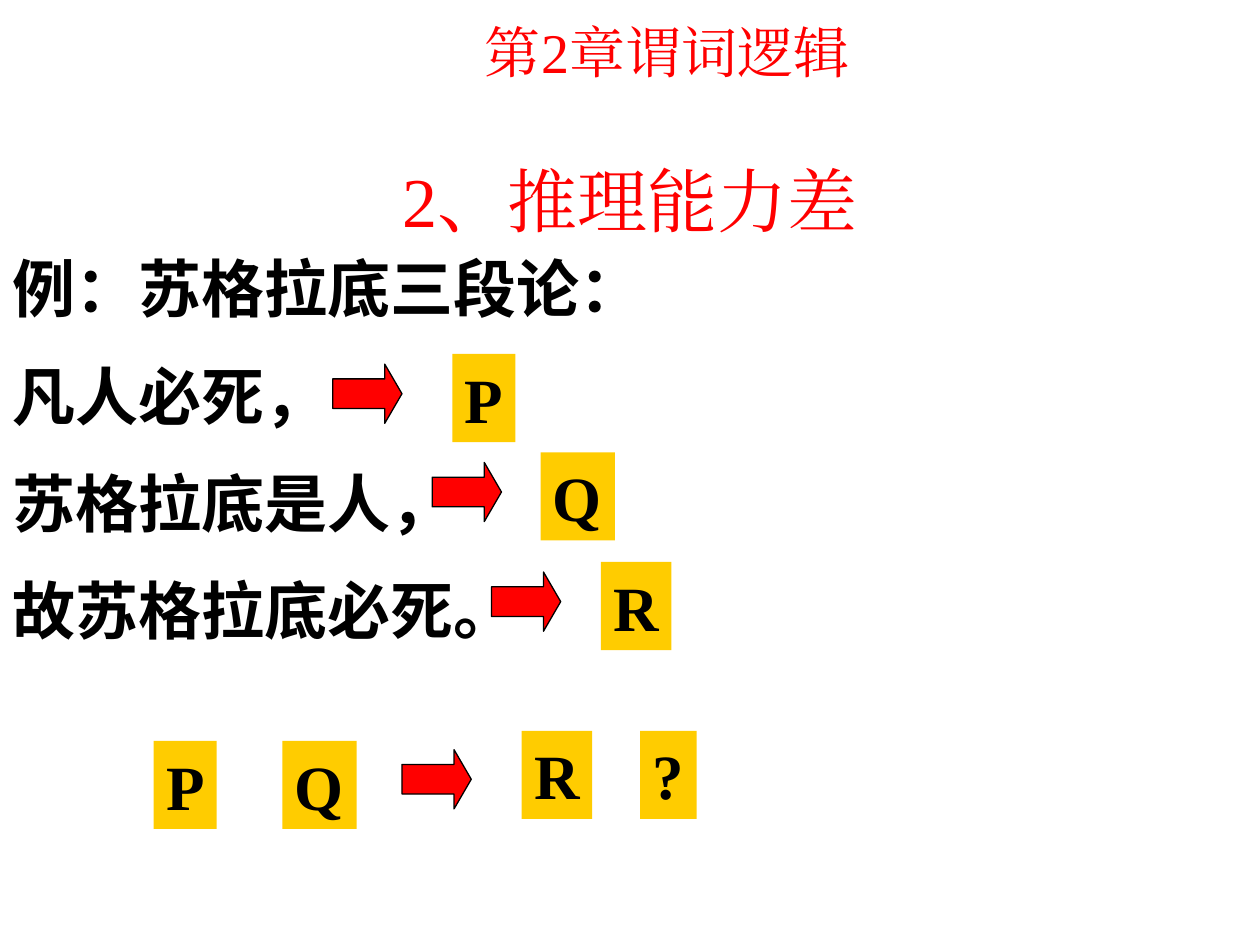
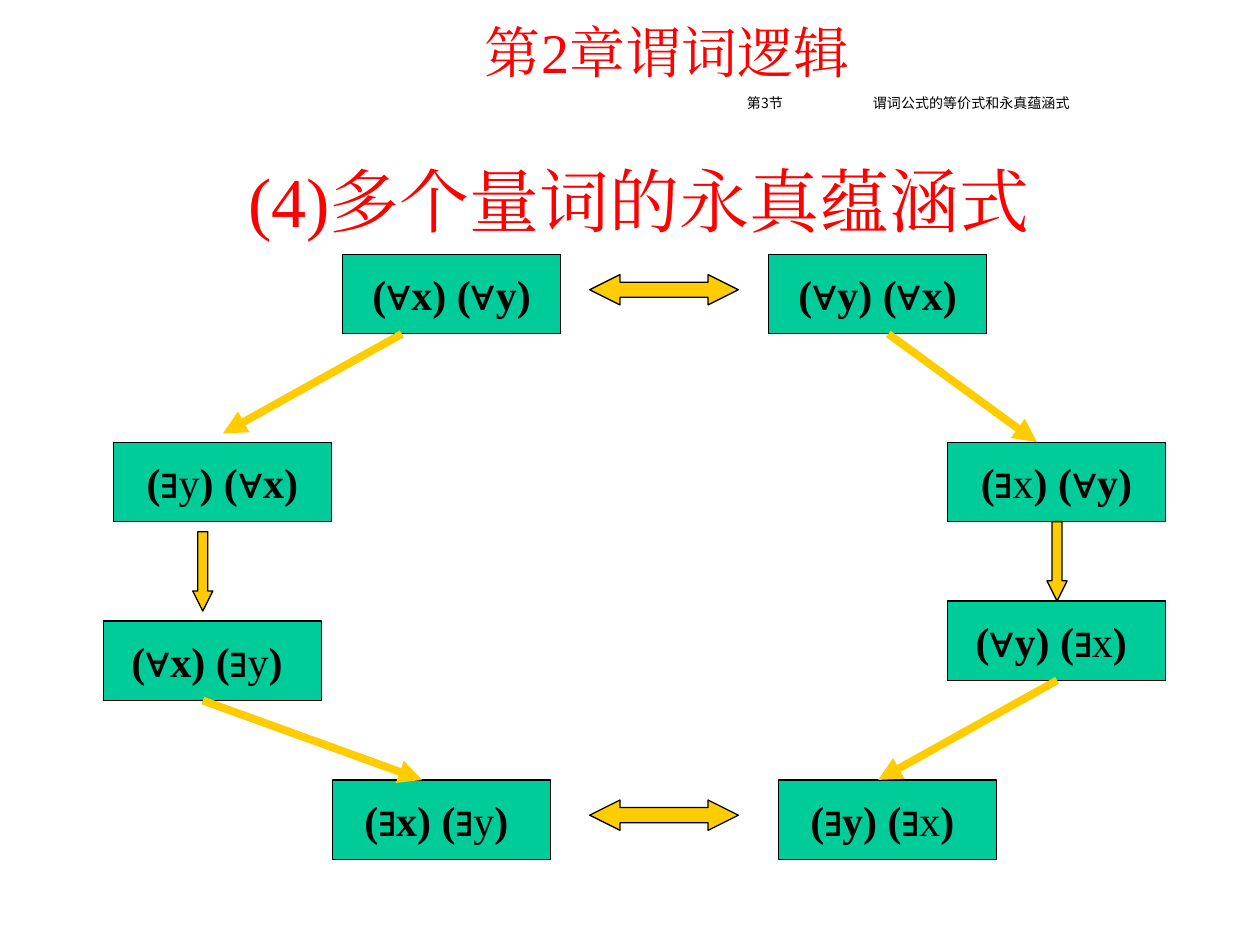
from itertools import groupby

from lxml import etree
from pptx import Presentation
from pptx.dml.color import RGBColor
from pptx.enum.shapes import MSO_CONNECTOR, MSO_SHAPE as Shape
from pptx.enum.text import MSO_ANCHOR as Anchor, MSO_AUTO_SIZE, PP_ALIGN as Align
from pptx.oxml.ns import qn
from pptx.util import Inches, Pt

COLORS = {"red": "FF0000", "black": "000000", "gold": "FFCC00", "green": "00CC99"}
SERIF, SYMBOL = "Times New Roman", "Arial"
BODY_FONT, SECTION_FONT = "Noto Sans CJK JP", "Noto Sans CJK SC"
CHAPTER = "第2章谓词逻辑"


def rgb(name):
    return RGBColor.from_string(COLORS[name])


class Deck:
    def __init__(self):
        self.prs = Presentation()
        self.prs.slide_width, self.prs.slide_height = Inches(10), Inches(7.5)
        self.slide = None

    def style(self, paragraph, size, color="black", font=SERIF, bold=False, align=Align.LEFT):
        paragraph.alignment = align
        face = paragraph.font
        face.size, face.bold, face.name = Pt(size), bold, font
        face.color.rgb = rgb(color)
        etree.SubElement(paragraph._p.pPr.find(qn("a:defRPr")), qn("a:ea"), typeface=font)

    def new_slide(self, title):
        self.slide = self.prs.slides.add_slide(self.prs.slide_layouts[5])
        heading = self.slide.shapes.title
        heading.left, heading.top = Inches(0.75), Inches(1.17)
        heading.width, heading.height = Inches(8.5), Inches(0.83)
        frame = heading.text_frame
        frame.text = title
        frame.auto_size = MSO_AUTO_SIZE.NONE
        frame.vertical_anchor = Anchor.MIDDLE
        self.style(frame.paragraphs[0], 40, "red", align=Align.CENTER)
        self.text(3.17, 0.09, 4.25, 0.64, [CHAPTER], size=32, color="red", align=Align.CENTER)

    def text(self, left, top, width, height, lines, anchor=Anchor.TOP,
             spacing=1.0, gap=0, tab=None, **look):
        box = self.slide.shapes.add_textbox(Inches(left), Inches(top), Inches(width), Inches(height))
        frame = box.text_frame
        frame.word_wrap = True
        frame.vertical_anchor = anchor
        for i, line in enumerate(lines):
            paragraph = frame.paragraphs[0] if i == 0 else frame.add_paragraph()
            paragraph.text = line
            paragraph.line_spacing = spacing
            if i:
                paragraph.space_before = Pt(gap)
            if tab:
                stops = etree.SubElement(paragraph._p.get_or_add_pPr(), qn("a:tabLst"))
                etree.SubElement(stops, qn("a:tab"), pos=str(Inches(tab)), algn="l")
            self.style(paragraph, **look)

    def shape(self, kind, left, top, width, height, fill, outlined=True, adjust=()):
        figure = self.slide.shapes.add_shape(
            kind, Inches(left), Inches(top), Inches(width), Inches(height))
        figure.shadow.inherit = False
        figure.fill.solid()
        figure.fill.fore_color.rgb = rgb(fill)
        if outlined:
            figure.line.color.rgb = rgb("black")
            figure.line.width = Pt(0.75)
        else:
            figure.line.fill.background()
        for i, value in enumerate(adjust):
            figure.adjustments[i] = value
        return figure

    def letter(self, symbol, left, top):
        width = {"P": 0.5, "Q": 0.59, "R": 0.56, "?": 0.45}[symbol]
        frame = self.shape(Shape.RECTANGLE, left, top, width, 0.7, "gold", outlined=False).text_frame
        frame.word_wrap = False
        frame.vertical_anchor = Anchor.TOP
        frame.text = symbol
        self.style(frame.paragraphs[0], 36, bold=True)

    def red_arrow(self, left, top):
        self.shape(Shape.RIGHT_ARROW, left, top, 0.55, 0.47, "red", adjust=(0.5, 0.29))

    def formula(self, content, left, top):
        frame = self.shape(Shape.RECTANGLE, left, top, 1.73, 0.63, "green").text_frame
        frame.word_wrap = False
        frame.vertical_anchor = Anchor.MIDDLE
        paragraph = frame.paragraphs[0]
        self.style(paragraph, 24, bold=True, align=Align.CENTER)
        last_exists = content.rfind("∃")

        def role(item):
            position, char = item
            if char in "∀∃":
                return "quantifier"
            return "light" if last_exists >= 0 and position == last_exists + 1 else "bold"

        for kind, items in groupby(enumerate(content), role):
            run = paragraph.add_run()
            run.text = "".join(char for _, char in items)
            if kind == "quantifier":
                run.font.name = SYMBOL
            elif kind == "light":
                run.font.bold = False

    def implication(self, x1, y1, x2, y2):
        link = self.slide.shapes.add_connector(
            MSO_CONNECTOR.STRAIGHT, Inches(x1), Inches(y1), Inches(x2), Inches(y2))
        link.line.color.rgb = rgb("gold")
        link.line.width = Pt(4.5)
        etree.SubElement(link.line._get_or_add_ln(), qn("a:tailEnd"), type="triangle")
        etree.SubElement(link._element.spPr, qn("a:effectLst"))


def syllogism(deck):
    deck.new_slide("2、推理能力差")
    deck.text(0, 2, 10, 3.4,
              ["例：苏格拉底三段论：", "凡人必死，", "苏格拉底是人，", "故苏格拉底必死。"],
              spacing=0.9, gap=22.5, size=36, font=BODY_FONT, bold=True)
    for symbol, arrow_left, letter_left, top in (
            ("P", 2.64, 3.59, 2.81), ("Q", 3.43, 4.29, 3.59), ("R", 3.9, 4.77, 4.46)):
        deck.red_arrow(arrow_left, top + 0.08)
        deck.letter(symbol, letter_left, top)
    for symbol, left, top in (("P", 1.22, 5.88), ("Q", 2.24, 5.88), ("R", 4.14, 5.8), ("?", 5.08, 5.8)):
        deck.letter(symbol, left, top)
    deck.red_arrow(3.19, 5.95)


def quantifiers(deck):
    deck.new_slide(" (4)多个量词的永真蕴涵式")
    deck.text(4.5, 0.71, 5.42, 0.24, ["第3节\t谓词公式的等价式和永真蕴涵式"], anchor=Anchor.MIDDLE,
              spacing=0.8, tab=1, size=8, font=SECTION_FONT, align=Align.CENTER)
    for content, left, top in (
            ("(∀x) (∀y)", 2.72, 2.02), ("(∀y) (∀x)", 6.1, 2.02),
            ("(∃y) (∀x)", 0.9, 3.51), ("(∃x) (∀y)", 7.52, 3.51),
            ("(∀x) (∃y) ", 0.82, 4.93), ("(∀y) (∃x) ", 7.52, 4.77),
            ("(∃x) (∃y) ", 2.64, 6.19), ("(∃y) (∃x) ", 6.18, 6.19)):
        deck.formula(content, left, top)
    for top in (2.18, 6.35):
        deck.shape(Shape.LEFT_RIGHT_ARROW, 4.68, top, 1.18, 0.24, "gold", adjust=(0.5, 1))
    for left, top in ((1.53, 4.22), (8.31, 4.14)):
        deck.shape(Shape.DOWN_ARROW, left, top, 0.16, 0.63, "gold", adjust=(0.5, 1))
    for ends in ((3.19, 2.65, 1.77, 3.44), (7.05, 2.65, 8.23, 3.51),
                 (1.61, 5.56, 3.35, 6.19), (8.39, 5.4, 6.97, 6.19)):
        deck.implication(*ends)


def main():
    deck = Deck()
    syllogism(deck)
    quantifiers(deck)
    deck.prs.save("out.pptx")


if __name__ == "__main__":
    main()
